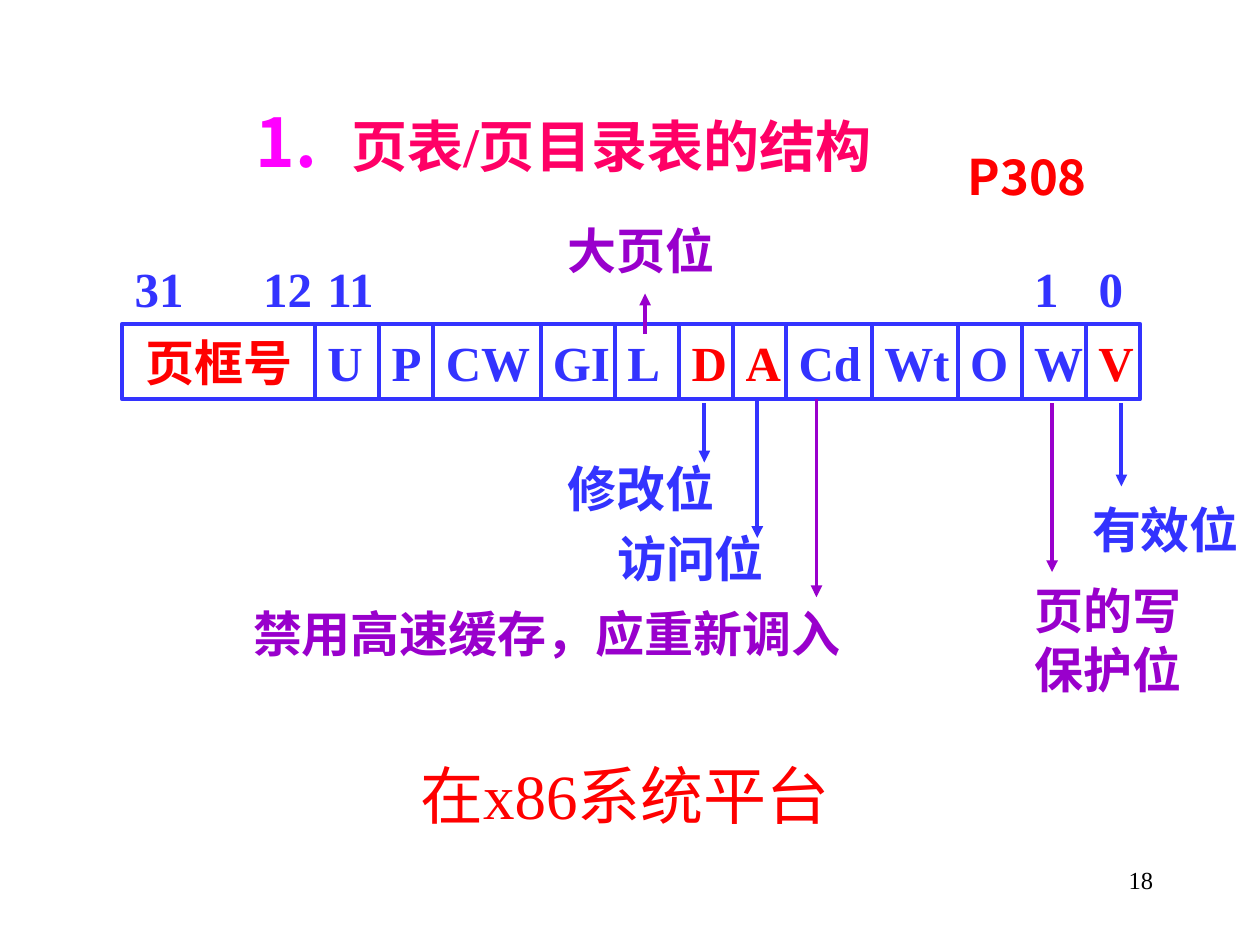
from lxml import etree
from pptx import Presentation
from pptx.dml.color import RGBColor
from pptx.enum.shapes import MSO_CONNECTOR as Connector, MSO_SHAPE as Shape
from pptx.enum.text import MSO_ANCHOR as Anchor, PP_ALIGN as Align
from pptx.oxml.ns import qn
from pptx.util import Inches, Pt

BLUE, RED, PURPLE = "3333FF", "FF0000", "9900CC"
PINK, MAGENTA, WHITE, BLACK = "FF0066", "FF00FF", "FFFFFF", "000000"
LATIN, SANS = "Times New Roman", "Noto Sans CJK SC"

# Content: page table entry fields as (name, left edge, colour)
FIELDS = [
    ("页框号", 0.97, RED), ("U", 2.5, BLUE), ("P", 3.01, BLUE),
    ("CW", 3.44, BLUE), ("GI", 4.29, BLUE), ("L", 4.88, BLUE),
    ("D", 5.39, RED), ("A", 5.82, RED), ("Cd", 6.24, BLUE),
    ("Wt", 6.92, BLUE), ("O", 7.6, BLUE), ("W", 8.11, BLUE),
    ("V", 8.62, RED),
]
ROW_RIGHT, ROW_TOP, ROW_HEIGHT = 9.05, 2.57, 0.6

# Bit numbers as (text, left)
BITS = [("31", 0.97), ("12", 1.99), ("11", 2.5), ("1", 8.11), ("0", 8.62)]

# Explanations as (lines, left, top, width, height, colour)
NOTES = [
    ("有效位", 8.5, 3.91, 1.5, 0.57, BLUE),
    ("访问位", 4.8, 4.14, 1.37, 0.57, BLUE),
    ("修改位", 4.41, 3.59, 1.37, 0.57, BLUE),
    ("禁用高速缓存，应重新调入", 1.91, 4.74, 4.89, 0.57, PURPLE),
    ("页的写\n保护位", 8.11, 4.56, 1.37, 1.03, PURPLE),
    ("大页位", 4.41, 1.7, 1.37, 0.57, PURPLE),
]

# Arrows as (x, start y, end y, colour)
ARROWS = [
    (5.59, 3.2, 3.67, BLUE), (6.01, 3.17, 4.27, BLUE),
    (8.9, 3.2, 3.86, BLUE), (6.48, 3.17, 4.74, PURPLE),
    (8.35, 3.2, 4.54, PURPLE), (5.12, 2.65, 2.33, PURPLE),
]


def rgb(value):
    return RGBColor.from_string(value)


def write(shape, text, color, size=28, font=LATIN, bold=True, align=Align.LEFT,
          wrap=False, **frame_format):
    frame = shape.text_frame
    frame.text = text
    frame_values = {"word_wrap": wrap, "vertical_anchor": Anchor.MIDDLE, **frame_format}
    for name, value in frame_values.items():
        setattr(frame, name, value)
    font_values = {"name": font, "size": Pt(size), "bold": bold}
    for paragraph in frame.paragraphs:
        paragraph.alignment = align
        for name, value in font_values.items():
            setattr(paragraph.font, name, value)
        paragraph.font.color.rgb = rgb(color)


def add_text(slide, box, text, color, **text_format):
    shape = slide.shapes.add_textbox(*map(Inches, box))
    write(shape, text, color, **text_format)
    return shape


def add_cell(slide, box, text, color, **text_format):
    shape = slide.shapes.add_shape(Shape.RECTANGLE, *map(Inches, box))
    shape.shadow.inherit = False
    shape.fill.solid()
    shape.fill.fore_color.rgb = rgb(WHITE)
    shape.line.color.rgb = rgb(BLUE)
    shape.line.width = Pt(2.25)
    write(shape, text, color, **text_format)


def add_arrow(slide, x, start, end, color):
    arrow = slide.shapes.add_connector(
        Connector.STRAIGHT, Inches(x), Inches(start), Inches(x), Inches(end))
    arrow.line.color.rgb = rgb(color)
    arrow.line.width = Pt(2.25)
    etree.SubElement(arrow.line._get_or_add_ln(), qn("a:tailEnd"), type="triangle")
    etree.SubElement(arrow._element.spPr, qn("a:effectLst"))


def add_number(paragraph, indent):
    properties = paragraph._p.get_or_add_pPr()
    properties.set("marL", str(Inches(indent)))
    properties.set("indent", str(-Inches(indent)))
    color = etree.SubElement(properties, qn("a:buClr"))
    etree.SubElement(color, qn("a:srgbClr"), val=MAGENTA)
    etree.SubElement(properties, qn("a:buSzPct"), val="120000")
    etree.SubElement(properties, qn("a:buFont"), typeface=SANS)
    etree.SubElement(properties, qn("a:buAutoNum"), type="arabicPeriod")


def main():
    presentation = Presentation()
    presentation.slide_width, presentation.slide_height = Inches(10), Inches(7.5)
    slide = presentation.slides.add_slide(presentation.slide_layouts[5])

    # Title at the foot of the slide
    title = slide.shapes.title
    title.left, title.top, title.width, title.height = map(Inches, (2.56, 5.48, 4.8, 1.65))
    write(title, "在x86系统平台", RED, size=36, bold=False, align=Align.CENTER, wrap=True)

    # Numbered heading, page reference and slide number
    heading = add_text(slide, (1.93, 0.84, 6.46, 0.63), "页表/页目录表的结构", PINK,
                       size=32, wrap=True)
    add_number(heading.text_frame.paragraphs[0], 0.76)
    add_text(slide, (7.68, 1.15, 1.02, 0.5), "P308", RED, font=SANS,
             margin_left=0, margin_right=0)
    add_text(slide, (7.17, 6.83, 2.08, 0.3), "18", BLACK, size=14, bold=False,
             align=Align.RIGHT, wrap=True)

    # Row of fields: each ends where the next begins
    edges = [left for _, left, _ in FIELDS] + [ROW_RIGHT]
    for index, (name, left, color) in enumerate(FIELDS):
        box = (left, ROW_TOP, edges[index + 1] - left, ROW_HEIGHT)
        if index == 0:
            add_cell(slide, box, name, color, align=Align.CENTER)
        else:
            add_cell(slide, box, name, color, margin_right=0)

    # Bit numbers above the row
    for text, left in BITS:
        add_text(slide, (left, 2, 0.59, 0.57), text, BLUE)

    # Explanations and their arrows
    for text, left, top, width, height, color in NOTES:
        add_text(slide, (left, top, width, height), text, color,
                 align=Align.CENTER if width == 1.5 else Align.LEFT)
    for arrow in ARROWS:
        add_arrow(slide, *arrow)

    presentation.save("out.pptx")


if __name__ == "__main__":
    main()
